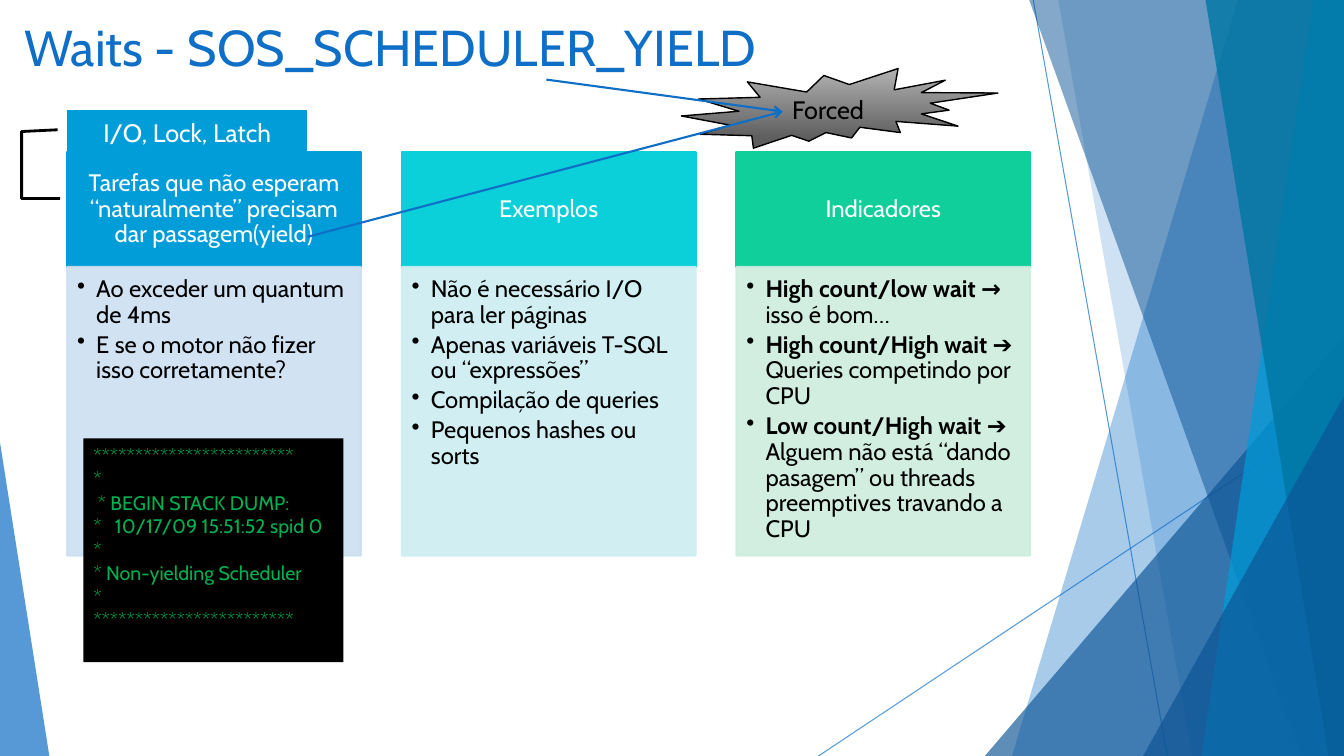
from lxml.etree import SubElement
from pptx import Presentation
from pptx.dml.color import RGBColor
from pptx.enum.shapes import MSO_CONNECTOR as Conn, MSO_SHAPE as Shape
from pptx.enum.text import MSO_ANCHOR as Anchor, PP_ALIGN as Align
from pptx.oxml.ns import qn
from pptx.util import Inches, Pt

FONT = "Cabin"
C = {"blue": "0F6FC6", "navy": "0B5394", "sky": "009DD9", "teal": "0076A3",
     "aqua": "0BD0D9", "green": "10CF9B", "pale_sky": "CCDFF1",
     "pale_aqua": "CCEEF1", "pale_green": "CCEDDE", "code": "00B050",
     "silver": "B2B2B2", "gray": "5E5E5E", "white": "FFFFFF", "black": "000000"}

prs = Presentation()
prs.slide_width, prs.slide_height = Inches(13.333), Inches(7.5)
COL, ROW = prs.slide_width / 100, prs.slide_height / 100

WEDGES = [(92.1, 75.3, "blue", 36), (78.75, 88.72, "blue", 20),
          (76.58, 96.82, "navy", 50), (97.72, 89.4, "sky", 70),
          (89.7, 98.85, "teal", 80)]
COLUMNS = [
    ("Tarefas que não esperam “naturalmente” precisam dar passagem(yield)",
     "sky", "pale_sky",
     [("", "Ao exceder um quantum de 4ms"),
      ("", "E se o motor não fizer isso corretamente?")]),
    ("Exemplos", "aqua", "pale_aqua",
     [("", "Não é necessário I/O para ler páginas"),
      ("", "Apenas variáveis T-SQL ou “expressões”"),
      ("", "Compilação de queries"),
      ("", "Pequenos hashes ou sorts")]),
    ("Indicadores", "green", "pale_green",
     [("High count/low wait → ", "isso é bom…"),
      ("High count/High wait ", "➔ Queries competindo por CPU"),
      ("Low count/High wait ", "➔ Alguem não está “dando pasagem” ou "
       "threads preemptives travando a CPU")]),
]
DUMP = ["************************", "*", " * BEGIN STACK DUMP:",
        "*   10/17/09 15:51:52 spid 0", "*", "* Non-yielding Scheduler", "*",
        "************************"]


def emu(box):
    """Turn grid columns and rows into slide lengths."""
    return [round(v * (ROW if i % 2 else COL)) for i, v in enumerate(box)]


def paint(fmt, color, alpha=100):
    """Give a fill a solid colour with an opacity in percent."""
    fmt.solid()
    fmt.fore_color.rgb = RGBColor.from_string(C[color])
    if alpha < 100:
        for clr in fmt._xPr.iter(qn("a:srgbClr")):
            SubElement(clr, qn("a:alpha"), val=str(alpha * 1000))


def style(s, fill, alpha=100, line=None, width=0):
    """Set the fill and outline of a shape and drop its shadow."""
    s.shadow.inherit = False
    paint(s.fill, fill, alpha)
    if line:
        s.line.width = Pt(width)
        paint(s.line.fill, line, alpha)
    else:
        s.line.fill.background()
    return s


def add_shape(slide, kind, box, *look, adj=()):
    """Place a preset shape in a grid box."""
    s = slide.shapes.add_shape(kind, *emu(box))
    for i, v in enumerate(adj):
        s.adjustments[i] = v
    return style(s, *look)


def write(s, paras, size, color, anchor=Anchor.MIDDLE, align=Align.CENTER,
          inset=(0.1, 0.05, 0.1, 0.05), bullet=False, **para_format):
    """Fill a shape with paragraphs of a bold and a plain part."""
    tf = s.text_frame
    tf.word_wrap, tf.vertical_anchor = True, anchor
    for side, v in zip(("left", "top", "right", "bottom"), inset):
        setattr(tf, f"margin_{side}", Inches(v))
    for i, parts in enumerate(paras):
        p = tf.add_paragraph() if i else tf.paragraphs[0]
        if bullet:
            pPr = p._p.get_or_add_pPr()
            pPr.set("marL", str(Inches(0.19)))
            pPr.set("indent", str(-Inches(0.19)))
            SubElement(pPr, qn("a:buChar"), char="•")
        for k, v in {"alignment": align, **para_format}.items():
            setattr(p, k, v)
        for bold, text in zip((True, False), parts):
            if text:
                r = p.add_run()
                r.text = text
                r.font.color.rgb = RGBColor.from_string(C[color])
                for k, v in {"name": FONT, "size": Pt(size), "bold": bold}.items():
                    setattr(r.font, k, v)


def add_line(slide, ends, width, alpha=100, arrow=False):
    """Draw a straight blue line between two grid points."""
    s = slide.shapes.add_connector(Conn.STRAIGHT, *emu(ends))
    s.line.width = Pt(width)
    paint(s.line.fill, "blue", alpha)
    if arrow:
        SubElement(s.line._get_or_add_ln(), qn("a:tailEnd"), type="arrow")
    SubElement(s._element.spPr, qn("a:effectLst"))


def add_wedge(slide, top, bottom, color, alpha):
    """Draw a slanted band that runs to the right edge."""
    start, *rest = [emu(pt) for pt in
                    ((top, 0), (100, 0), (100, 100), (bottom, 100))]
    fb = slide.shapes.build_freeform(*start)
    fb.add_line_segments(rest)
    style(fb.convert_to_shape(), color, alpha)


def add_corner(slide, x, y, w, color, alpha, apex):
    """Draw a triangle that stands on the bottom edge."""
    add_shape(slide, Shape.ISOSCELES_TRIANGLE, (x, y, w, 100 - y), color, alpha,
              adj=[apex])


def add_backdrop(slide):
    """Draw the facets at the sides of the slide."""
    add_line(slide, (76.88, 0, 86.85, 100), 0.75, 70)
    add_line(slide, (100, 53.73, 60.9, 100), 0.75, 70)
    for wedge in WEDGES[:2]:
        add_wedge(slide, *wedge)
    add_corner(slide, 73.28, 44.4, 26.72, "navy", 66, 1)
    for wedge in WEDGES[2:]:
        add_wedge(slide, *wedge)
    add_corner(slide, 85.05, 52.4, 14.95, "navy", 66, 1)
    add_corner(slide, 0, 58.53, 3.67, "blue", 70, 0)


def add_title(slide, box, text):
    """Write the slide title."""
    s = slide.shapes.add_textbox(*emu(box))
    write(s, [("", text)], 36, "blue", Anchor.TOP, Align.LEFT)


def add_column(slide, box, head, color, pale, items):
    """Stack a coloured header on a pale bullet list."""
    x, y, w, h = box
    split = 0.285 * h
    s = add_shape(slide, Shape.RECTANGLE, (x, y, w, split), color, 100, color, 1.5)
    write(s, [("", head)], 17, "white", inset=(0.13, 0.08, 0.13, 0.08),
          line_spacing=0.9)
    s = add_shape(slide, Shape.RECTANGLE, (x, y + split, w, h - split),
                  pale, 90, pale, 1.5)
    write(s, items, 17, "black", Anchor.TOP, Align.LEFT, (0.1, 0.1, 0.13, 0.15),
          True, line_spacing=0.9, space_after=Pt(3))


def add_dump(slide, box):
    """Show the console output on black."""
    s = add_shape(slide, Shape.RECTANGLE, box, "black")
    write(s, [("", line) for line in DUMP], 14, "code", Anchor.TOP, Align.LEFT)


def add_tag(slide, box, text):
    """Place the callout whose leader brackets the first header."""
    s = add_shape(slide, Shape.LINE_CALLOUT_3_NO_BORDER, box, "sky", 100, "black", 2,
                  adj=[0.45, -0.04, 0.49, -0.19, 2, -0.19, 2, -0.03])
    write(s, [("", text)], 18, "white")


def add_burst(slide, box, text):
    """Place the gray burst and the two arrows that reach it."""
    x, y, w, h = box
    s = add_shape(slide, Shape.EXPLOSION2, box, "gray", 100, "black", 1)
    s.fill.gradient()
    s.fill.gradient_angle = 270
    for stop, pos, color in zip(s.fill.gradient_stops, (0, 0.88), ("silver", "gray")):
        stop.position = pos
        stop.color.rgb = RGBColor.from_string(C[color])
    write(s, [("", text)], 18, "black")
    for start in ((40.65, 10.53), (22.88, 31.33)):
        add_line(slide, (*start, x + 0.32 * w, y + 0.54 * h), 1.5, arrow=True)


def main():
    """Build the slide and save it."""
    slide = prs.slides.add_slide(prs.slide_layouts[6])
    add_backdrop(slide)
    add_title(slide, (1.05, 1.47, 69.2, 16.13), "Waits - SOS_SCHEDULER_YIELD")
    for i, column in enumerate(COLUMNS):
        add_column(slide, (5 + 24.9 * i, 20.1, 21.85, 53.4), *column)
    add_dump(slide, (6.2, 58, 19.35, 29.6))
    add_tag(slide, (5, 14.53, 17.85, 5.87), "I/O, Lock, Latch")
    add_burst(slide, (50.7, 9.07, 23.55, 10.53), "Forced")
    prs.save("out.pptx")


if __name__ == "__main__":
    main()
